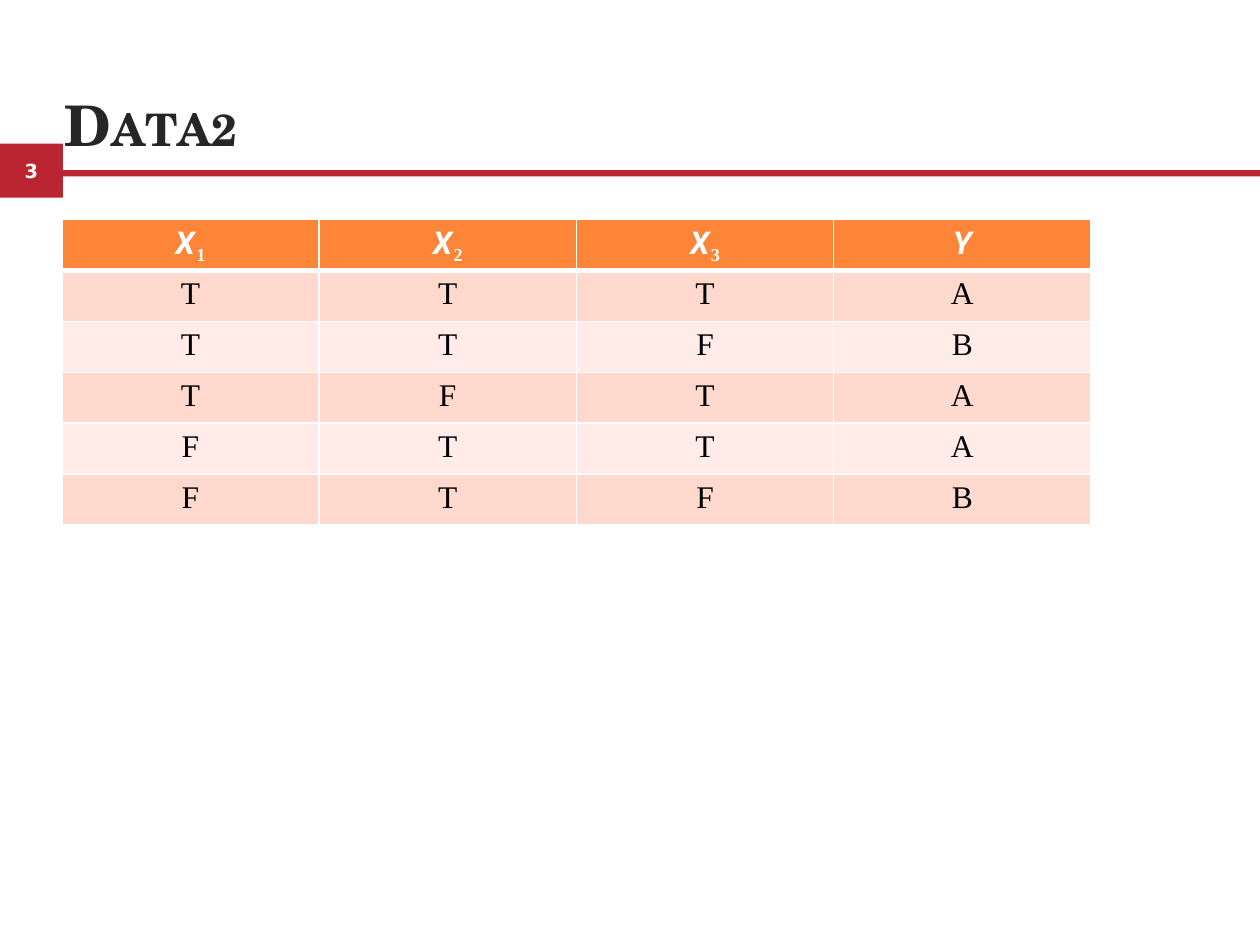
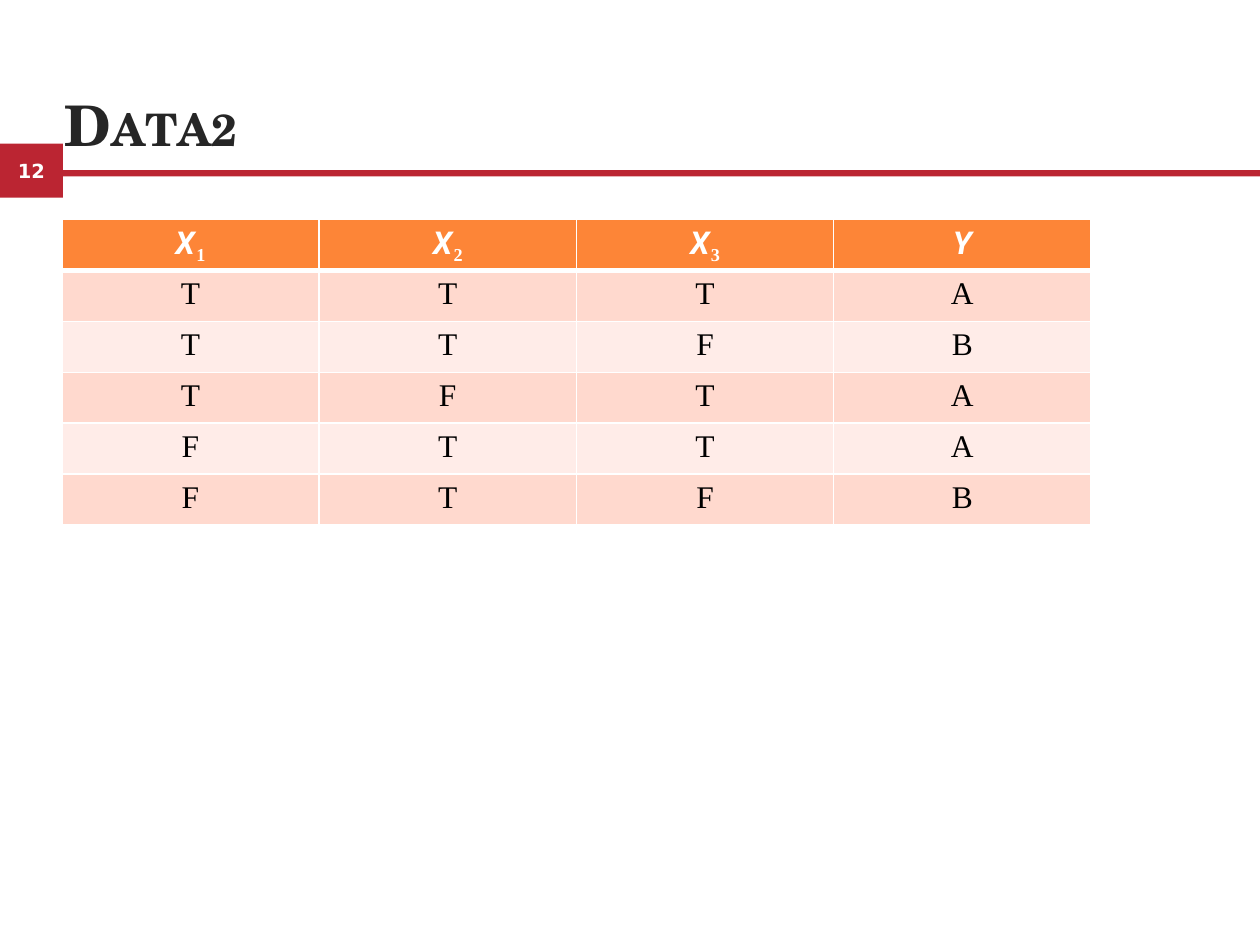
from dataclasses import dataclass

from lxml import etree
from pptx import Presentation
from pptx import util as u
from pptx.dml.color import RGBColor
from pptx.enum import shapes, text
from pptx.oxml.ns import qn


@dataclass(frozen=True)
class Theme:
    """Colours, fonts and type sizes shared by the slides."""
    band: str = "BB2532"
    ink: str = "262626"
    black: str = "000000"
    white: str = "FFFFFF"
    header: str = "FD8537"
    stripes: tuple = ("FFD9CE", "FFECE8")
    title_font: str = "TeX Gyre Schola"
    number_font: str = "DejaVu Sans"
    variable_font: str = "Roboto"
    value_font: str = "Times New Roman"
    title_size: float = 32
    number_size: float = 11.1
    table_size: float = 18
    rule_width: float = 1
    header_rule_width: float = 3


THEME = Theme()
NUMBER_BOX = (0, 1.14, 0.5, 0.43)
RULE_BOX = (0.5, 1.35, 9.5, 0.05)
TITLE_BOX = (0.5, 0.7, 9, 0.55)
TABLE_BOX = (0.49, 1.74, 8.17, 2.43)

PAGE_NUMBERS = (3, 12)
TITLE = "Data2"
VARIABLES = (("X", "1"), ("X", "2"), ("X", "3"), ("Y", ""))
OBSERVATIONS = ("TTTA", "TTFB", "TFTA", "FTTA", "FTFB")


def inches(box):
    """Turn a box in inches into lengths."""
    return [u.Inches(length) for length in box]


def add_run(paragraph, words, font, size, color, bold=False, italic=False, **extras):
    """Add one formatted run, with extras as further run attributes."""
    run = paragraph.add_run()
    run.text = words
    run.font.name = font
    run.font.size = u.Pt(size)
    run.font.color.rgb = RGBColor.from_string(color)
    run.font.bold = bold
    run.font.italic = italic
    properties = run._r.get_or_add_rPr()
    for name, value in extras.items():
        properties.set(name, str(value))


def add_band(slide, box):
    """Add a plain rectangle in the band colour."""
    band = slide.shapes.add_shape(shapes.MSO_SHAPE.RECTANGLE, *inches(box))
    band.shadow.inherit = False
    band.fill.solid()
    band.fill.fore_color.rgb = RGBColor.from_string(THEME.band)
    band.line.fill.background()
    return band


def add_header_band(slide, page_number):
    """Add the rule across the slide and the page number beside it."""
    frame = add_band(slide, NUMBER_BOX).text_frame
    frame.vertical_anchor = text.MSO_ANCHOR.MIDDLE
    paragraph = frame.paragraphs[0]
    paragraph.alignment = text.PP_ALIGN.CENTER
    add_run(paragraph, str(page_number), THEME.number_font, THEME.number_size,
            THEME.white, bold=True)
    add_band(slide, RULE_BOX)


def fill_title(slide, box):
    """Place the title and set it in bold small capitals."""
    title = slide.shapes.title
    title.left, title.top, title.width, title.height = inches(box)
    frame = title.text_frame
    frame.word_wrap = True
    frame.auto_size = text.MSO_AUTO_SIZE.SHAPE_TO_FIT_TEXT
    frame.vertical_anchor = text.MSO_ANCHOR.BOTTOM
    frame.margin_left = frame.margin_right = frame.margin_bottom = 0
    frame.margin_top = u.Inches(0.01)
    paragraph = frame.paragraphs[0]
    paragraph.alignment = text.PP_ALIGN.LEFT
    paragraph.space_before = u.Pt(1)
    paragraph._p.get_or_add_pPr().set("marL", str(u.Inches(0.01)))
    add_run(paragraph, TITLE, THEME.title_font, THEME.title_size, THEME.ink,
            bold=True, cap="small", spc=50)


def add_borders(cell, top, bottom):
    """Draw white borders round a cell, with the given top and bottom widths."""
    properties = cell._tc.get_or_add_tcPr()
    widths = {"L": THEME.rule_width, "R": THEME.rule_width, "T": top, "B": bottom}
    for side, width in widths.items():
        line = etree.SubElement(properties, qn(f"a:ln{side}"), w=str(u.Pt(width)))
        fill = etree.SubElement(line, qn("a:solidFill"))
        etree.SubElement(fill, qn("a:srgbClr"), val=THEME.white)


def format_cell(cell, color, top, bottom):
    """Set a cell's borders, fill and margins and return its centred paragraph."""
    add_borders(cell, top, bottom)
    cell.fill.solid()
    cell.fill.fore_color.rgb = RGBColor.from_string(color)
    cell.margin_left = cell.margin_right = cell.margin_bottom = 0
    cell.margin_top = u.Inches(0.05)
    paragraph = cell.text_frame.paragraphs[0]
    paragraph.alignment = text.PP_ALIGN.CENTER
    paragraph.space_before = u.Pt(3.4)
    return paragraph


def add_observations(slide, box):
    """Add the table of observations under a row of variable names."""
    table = slide.shapes.add_table(len(OBSERVATIONS) + 1, len(VARIABLES),
                                   *inches(box)).table
    table.horz_banding = False
    thin, thick = THEME.rule_width, THEME.header_rule_width
    for column, (variable, index) in enumerate(VARIABLES):
        paragraph = format_cell(table.cell(0, column), THEME.header, thin, thick)
        add_run(paragraph, variable, THEME.variable_font, THEME.table_size,
                THEME.white, bold=True, italic=True, spc=80 if index else 0)
        if index:
            add_run(paragraph, index, THEME.value_font, THEME.table_size,
                    THEME.white, bold=True, spc=120, baseline=-21000)
    for row, observation in enumerate(OBSERVATIONS, start=1):
        stripe = THEME.stripes[(row - 1) % len(THEME.stripes)]
        for column, value in enumerate(observation):
            paragraph = format_cell(table.cell(row, column), stripe,
                                    thick if row == 1 else thin, thin)
            add_run(paragraph, value, THEME.value_font, THEME.table_size, THEME.black)


def add_data_slide(deck, page_number):
    """Add a slide with the title, the header band and the table."""
    title_only = deck.slide_layouts.get_by_name("Title Only")
    slide = deck.slides.add_slide(title_only)
    add_header_band(slide, page_number)
    fill_title(slide, TITLE_BOX)
    add_observations(slide, TABLE_BOX)


def main():
    """Build and save the deck."""
    deck = Presentation()
    deck.slide_width, deck.slide_height = u.Inches(10), u.Inches(7.5)
    for page_number in PAGE_NUMBERS:
        add_data_slide(deck, page_number)
    deck.save("out.pptx")


if __name__ == "__main__":
    main()
